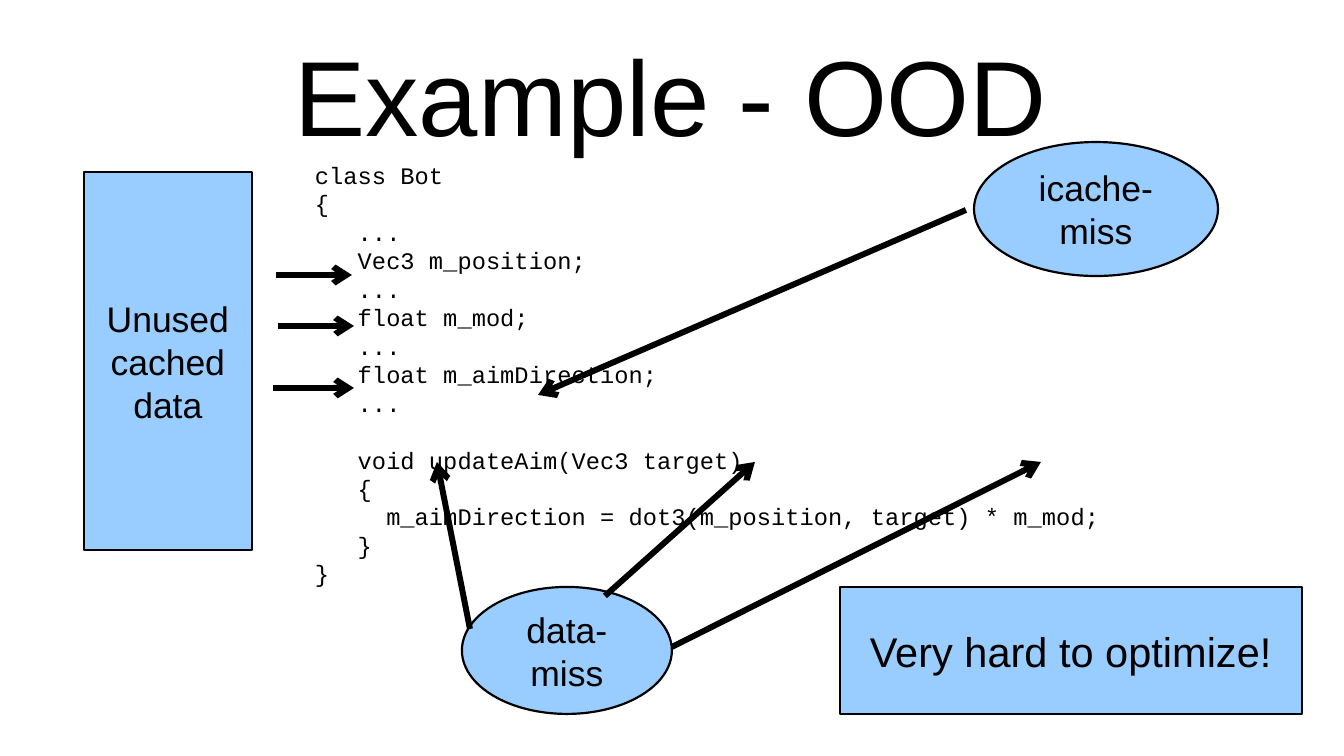
from lxml import etree
from pptx import Presentation
from pptx import util as u
from pptx.dml.color import RGBColor
from pptx.enum import shapes, text
from pptx.oxml.ns import qn

EMU_PER_PX = 4286
COLORS = {"ink": "000000", "callout": "99CCFF"}
SANS, MONO = "Arial", "Courier New"
CODE = """class Bot
{
   ...
   Vec3 m_position;
   ...
   float m_mod;
   ...
   float m_aimDirection;
   ...

   void updateAim(Vec3 target)
   {
     m_aimDirection = dot3(m_position, target) * m_mod;
   }
}"""
CODE_LEADING = u.Pt(9.6)
LABEL_LEADING = u.Pt(14.5)


def px(*lengths):
    return [u.Emu(length * EMU_PER_PX) for length in lengths]


def color(name):
    return RGBColor.from_string(COLORS[name])


def set_frame(frame, anchor, margins):
    frame.word_wrap = True
    frame.vertical_anchor = anchor
    frame.margin_left = frame.margin_right = u.Inches(margins[0])
    frame.margin_top = frame.margin_bottom = u.Inches(margins[1])


def style(para, font, size, align, leading=None):
    para.alignment = align
    para.line_spacing = leading
    para.font.name = font
    para.font.size = u.Pt(size)
    para.font.color.rgb = color("ink")


def add_title(page, box, words):
    frame = page.shapes.add_textbox(*px(*box)).text_frame
    set_frame(frame, text.MSO_ANCHOR.MIDDLE, (0, 0))
    frame.text = words
    style(frame.paragraphs[0], SANS, 36, text.PP_ALIGN.CENTER)


def add_code(page, box, code):
    """Sets one paragraph per line; an empty line becomes space before the next."""
    frame = page.shapes.add_textbox(*px(*box)).text_frame
    set_frame(frame, text.MSO_ANCHOR.TOP, (0.1, 0.05))
    lines = code.split("\n")
    frame.text = "\n".join(line for line in lines if line)
    for para in frame.paragraphs:
        style(para, MONO, 8, text.PP_ALIGN.LEFT, CODE_LEADING)
    if "" in lines:
        frame.paragraphs[lines.index("")].space_before = CODE_LEADING


def add_callout(page, box, kind, words, size=12, leading=LABEL_LEADING):
    shape = page.shapes.add_shape(kind, *px(*box))
    shape.shadow.inherit = False
    shape.fill.solid()
    shape.fill.fore_color.rgb = color("callout")
    shape.line.color.rgb = color("ink")
    shape.line.width = 0
    frame = shape.text_frame
    set_frame(frame, text.MSO_ANCHOR.MIDDLE, (0.1, 0.05))
    frame.text = words
    for para in frame.paragraphs:
        style(para, SANS, size, text.PP_ALIGN.CENTER, leading)


def add_arrow(page, start, end):
    arrow = page.shapes.add_connector(
        shapes.MSO_CONNECTOR.STRAIGHT, *px(*start, *end))
    arrow.line.color.rgb = color("ink")
    arrow.line.width = 0
    outline = arrow.line._get_or_add_ln()
    etree.SubElement(outline, qn("a:tailEnd"), type="arrow")
    etree.SubElement(arrow._element.spPr, qn("a:effectLst"))


def add_example(page, box):
    left, top, width, height = box
    oval, rectangle = shapes.MSO_SHAPE.OVAL, shapes.MSO_SHAPE.RECTANGLE

    def place(x, y, *size):
        return (left + x, top + y, *size)

    add_title(page, place(66, 30, width - 134, 128), "Example - OOD")
    add_code(page, place(294, 150, 875, 448), CODE)

    add_callout(page, place(974, 142, 244, 134), oval, "icache-miss")
    add_callout(page, place(462, 587, 210, 127), oval, "data-miss")
    add_callout(page, place(84, 172, 168, 378), rectangle,
                "Unused\ncached\ndata")
    add_callout(page, place(840, 587, 462, 127), rectangle,
                "Very hard to optimize!", 14, None)

    unused_data = [((276, 275), (352, 275)), ((278, 326), (354, 326)),
                   ((273, 388), (354, 388))]
    instruction_miss = [((966, 210), (538, 395))]
    data_misses = [((470, 629), (437, 462)), ((605, 596), (755, 462)),
                   ((672, 647), (1041, 462))]
    for start, end in unused_data + instruction_miss + data_misses:
        add_arrow(page, place(*start), place(*end))


def main():
    deck = Presentation()
    width, height = 1344, 756
    deck.slide_width, deck.slide_height = px(width, height)
    page = deck.slides.add_slide(deck.slide_layouts[6])
    add_example(page, (0, 0, width, height))
    deck.save("out.pptx")


if __name__ == "__main__":
    main()
